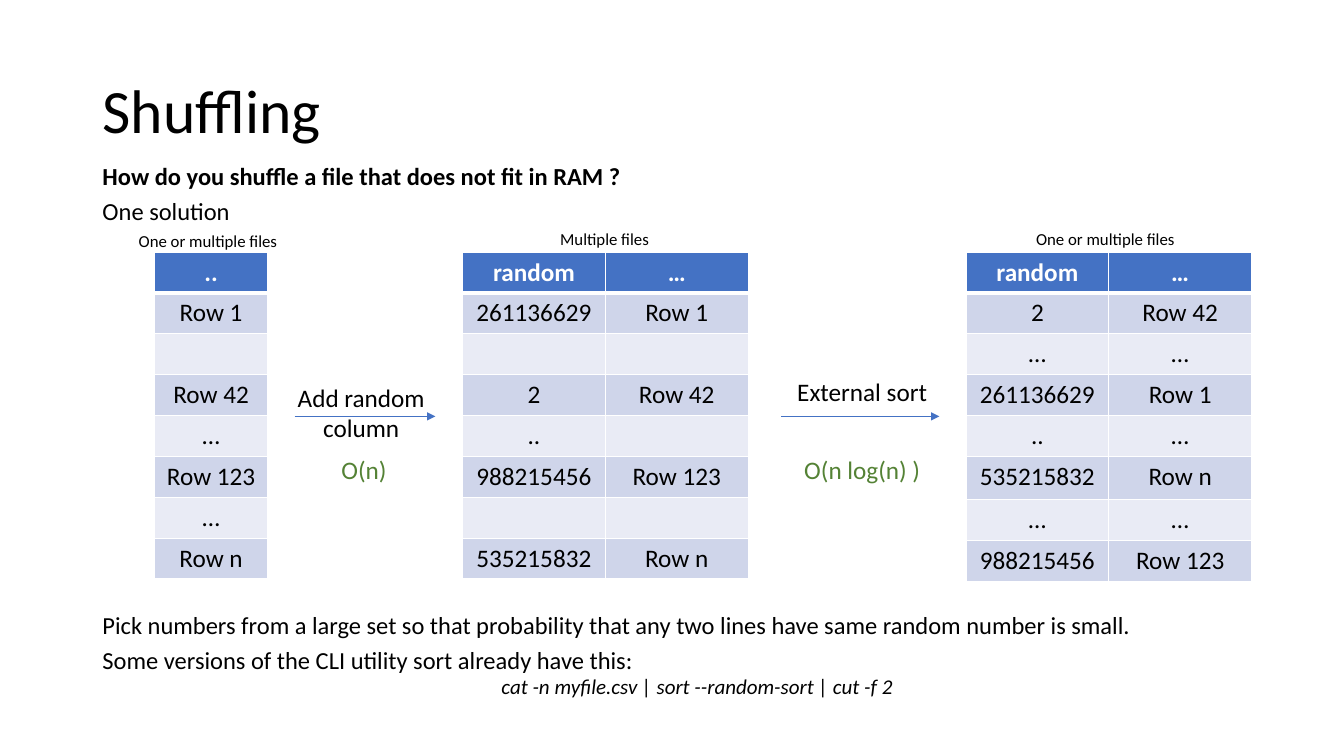
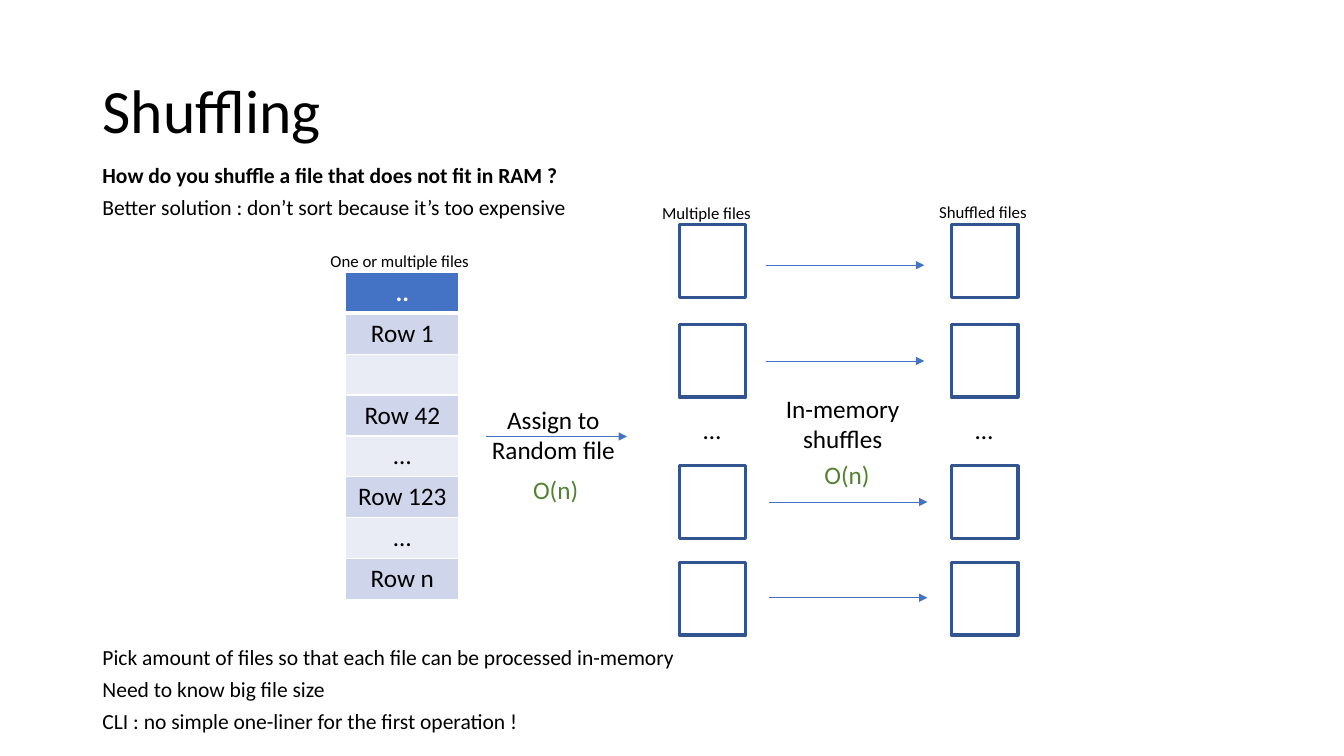
from lxml import etree
from pptx import Presentation
from pptx.dml.color import RGBColor
from pptx.enum.shapes import MSO_CONNECTOR, MSO_SHAPE
from pptx.enum.text import MSO_ANCHOR, MSO_AUTO_SIZE, PP_ALIGN
from pptx.oxml.ns import qn
from pptx.util import Pt

FONT = "Calibri"
BLACK, WHITE, GREEN = "000000", "FFFFFF", "548235"
BLUE, DARK_BLUE = "4472C4", "325491"
BANDS = ("E9EBF5", "CFD5EA")
ROW_HEIGHT = 29.2
QUESTION = "How do you shuffle a file that does not fit in RAM ?"
SOURCE_ROWS = [("..",), ("Row 1",), ("",), ("Row 42",), ("…",), ("Row 123",), ("…",), ("Row n",)]
KEYED_ROWS = [
    ("random", "…"), ("261136629", "Row 1"), ("", ""), ("2", "Row 42"),
    ("..", ""), ("988215456", "Row 123"), ("", ""), ("535215832", "Row n"),
]
SORTED_ROWS = [
    ("random", "…"), ("2", "Row 42"), ("…", "…"), ("261136629", "Row 1"),
    ("..", "…"), ("535215832", "Row n"), ("…", "…"), ("988215456", "Row 123"),
]


def rgb(hex_color):
    return RGBColor.from_string(hex_color)


def write(paragraph, text, size=18, color=BLACK, bold=False, italic=False,
          align=PP_ALIGN.LEFT, spacing=None, before=None):
    paragraph.alignment = align
    if spacing is not None:
        paragraph.line_spacing = spacing
    if before is not None:
        paragraph.space_before = Pt(before)
    run = paragraph.add_run()
    run.text = text
    font = run.font
    font.name, font.size, font.bold, font.italic = FONT, Pt(size), bold, italic
    font.color.rgb = rgb(color)


def place(placeholder, left, top, width, height):
    placeholder.left, placeholder.top = Pt(left), Pt(top)
    placeholder.width, placeholder.height = Pt(width), Pt(height)


def next_paragraph(frame, index):
    return frame.add_paragraph() if index else frame.paragraphs[0]


def remove_bullet(paragraph, indent):
    properties = paragraph._p.get_or_add_pPr()
    properties.set("marL", str(Pt(indent)))
    properties.set("indent", "0")
    etree.SubElement(properties, qn("a:buNone"))


def add_shuffling_slide(prs, lines, size):
    slide = prs.slides.add_slide(prs.slide_layouts[1])
    title, body = slide.placeholders
    place(title, 66, 28.8, 828, 104.4)
    title.text_frame.vertical_anchor = MSO_ANCHOR.MIDDLE
    write(title.text_frame.paragraphs[0], "Shuffling", size=44, spacing=0.9)
    place(body, 66, 117.2, 828, 409)
    frame = body.text_frame
    frame.auto_size = MSO_AUTO_SIZE.NONE
    frame.vertical_anchor = MSO_ANCHOR.TOP
    for index, (text, level, style) in enumerate(lines):
        paragraph = next_paragraph(frame, index)
        paragraph.level = level
        write(paragraph, text, **{"size": size, "spacing": 0.7, "before": 10, **style})
        remove_bullet(paragraph, 36 * level)
    return slide


def add_label(slide, lines, left, top, width, height, **style):
    frame = slide.shapes.add_textbox(Pt(left), Pt(top), Pt(width), Pt(height)).text_frame
    frame.word_wrap = False
    frame.auto_size = MSO_AUTO_SIZE.SHAPE_TO_FIT_TEXT
    for index, text in enumerate(lines):
        write(next_paragraph(frame, index), text, **style)


def add_caption(slide, text, left, top, width):
    add_label(slide, [text], left, top, width, 21.8, size=12)


def add_arrow(slide, left, right, y):
    arrow = slide.shapes.add_connector(
        MSO_CONNECTOR.STRAIGHT, Pt(left), Pt(y), Pt(right), Pt(y))
    arrow.line.color.rgb = rgb(BLUE)
    arrow.line.width = Pt(0.5)
    etree.SubElement(arrow.line._get_or_add_ln(), qn("a:tailEnd"), type="triangle")
    etree.SubElement(arrow._element.spPr, qn("a:effectLst"))


def add_file(slide, left, top):
    file = slide.shapes.add_shape(
        MSO_SHAPE.RECTANGLE, Pt(left), Pt(top), Pt(47.5), Pt(51.8))
    file.shadow.inherit = False
    file.fill.solid()
    file.fill.fore_color.rgb = rgb(WHITE)
    file.line.color.rgb = rgb(DARK_BLUE)
    file.line.width = Pt(2.25)


def set_borders(cell, top, bottom):
    properties = cell._tc.get_or_add_tcPr()
    for side, width in (("L", 1), ("R", 1), ("T", top), ("B", bottom)):
        border = etree.SubElement(properties, qn(f"a:ln{side}"), w=str(Pt(width)))
        fill = etree.SubElement(border, qn("a:solidFill"))
        etree.SubElement(fill, qn("a:srgbClr"), val=WHITE)


def add_rows(slide, rows, left, top, column_width, taller=None):
    columns = len(rows[0])
    table = slide.shapes.add_table(
        len(rows), columns, Pt(left), Pt(top),
        Pt(column_width * columns), Pt(ROW_HEIGHT * len(rows))).table
    for column in table.columns:
        column.width = Pt(column_width)
    for r, values in enumerate(rows):
        table.rows[r].height = Pt(ROW_HEIGHT + (1.8 if r == taller else 0))
        header = r == 0
        for c, value in enumerate(values):
            cell = table.cell(r, c)
            set_borders(cell, 3 if r == 1 else 1, 3 if header else 1)
            cell.fill.solid()
            cell.fill.fore_color.rgb = rgb(BLUE if header else BANDS[r % 2])
            if value:
                write(cell.text_frame.paragraphs[0], value, bold=header,
                      color=WHITE if header else BLACK, align=PP_ALIGN.CENTER)


def build_sort_solution(prs):
    slide = add_shuffling_slide(prs, [
        (QUESTION, 0, {"bold": True}),
        ("One solution", 0, {}),
        ("Pick numbers from a large set so that probability that any two lines "
         "have same random number is small.", 0, {"before": 281.5}),
        ("Some versions of the CLI utility sort already have this:", 0, {}),
        ("cat -n myfile.csv | sort --random-sort | cut -f 2", 1,
         {"size": 15, "italic": True, "align": PP_ALIGN.CENTER, "before": 5}),
    ], 17.5)
    add_rows(slide, SOURCE_ROWS, 110.4, 180, 80.8)
    add_rows(slide, KEYED_ROWS, 330.4, 180, 102)
    add_rows(slide, SORTED_ROWS, 690, 180, 102, taller=5)
    add_arrow(slide, 210.4, 311, 297.4)
    add_arrow(slide, 558, 671, 297.4)
    add_label(slide, ["Add random", "column"], 203, 269.4, 110, 51, align=PP_ALIGN.CENTER)
    add_label(slide, ["External sort"], 562.4, 265.2, 108, 29)
    add_label(slide, ["O(n)"], 236.8, 321, 47.5, 29, color=GREEN)
    add_label(slide, ["O(n log(n) )"], 567.4, 321, 98.6, 29, color=GREEN)
    add_caption(slide, "Multiple files", 393, 160, 78.5)
    add_caption(slide, "One or multiple files", 733, 160, 117.4)
    add_caption(slide, "One or multiple files", 92, 161.4, 117.4)


def build_file_solution(prs):
    slide = add_shuffling_slide(prs, [
        (QUESTION, 0, {"bold": True}),
        ("Better solution : don’t sort because it’s too expensive", 0, {}),
        ("Pick amount of files so that each file can be processed in-memory", 0,
         {"before": 308.3}),
        ("Need to know big file size", 0, {}),
        ("CLI : no simple one-liner for the first operation !", 0, {}),
    ], 15.4)
    add_rows(slide, SOURCE_ROWS, 247, 194.6, 80.8)
    add_arrow(slide, 347, 447.8, 311.8)
    add_label(slide, ["Assign to", "Random file"], 343.4, 285, 103.7, 51,
              align=PP_ALIGN.CENTER)
    add_label(slide, ["O(n)"], 373.7, 335.5, 47.5, 29, color=GREEN)
    add_caption(slide, "Multiple files", 465.8, 141, 78.5)
    add_caption(slide, "One or multiple files", 229, 175.7, 117.4)
    add_caption(slide, "Shuffled files", 663.8, 140.8, 80)
    for left in (485.3, 679.7):
        for top in (160.6, 231.8, 332.6, 401.8):
            add_file(slide, left, top)
        add_label(slide, ["…"], left + 10, 292.3, 27.4, 29)
    for left, y in ((547.2, 189.4), (547.2, 257.8), (549.4, 358.6), (549.4, 427)):
        add_arrow(slide, left, left + 113, y)
    add_label(slide, ["In-memory", "shuffles"], 553.7, 277.2, 96.5, 51,
              align=PP_ALIGN.CENTER)
    add_label(slide, ["O(n)"], 581.8, 324.7, 47.5, 29, color=GREEN)


def main():
    prs = Presentation()
    prs.slide_width, prs.slide_height = Pt(960), Pt(540)
    build_sort_solution(prs)
    build_file_solution(prs)
    prs.save("out.pptx")


if __name__ == "__main__":
    main()
